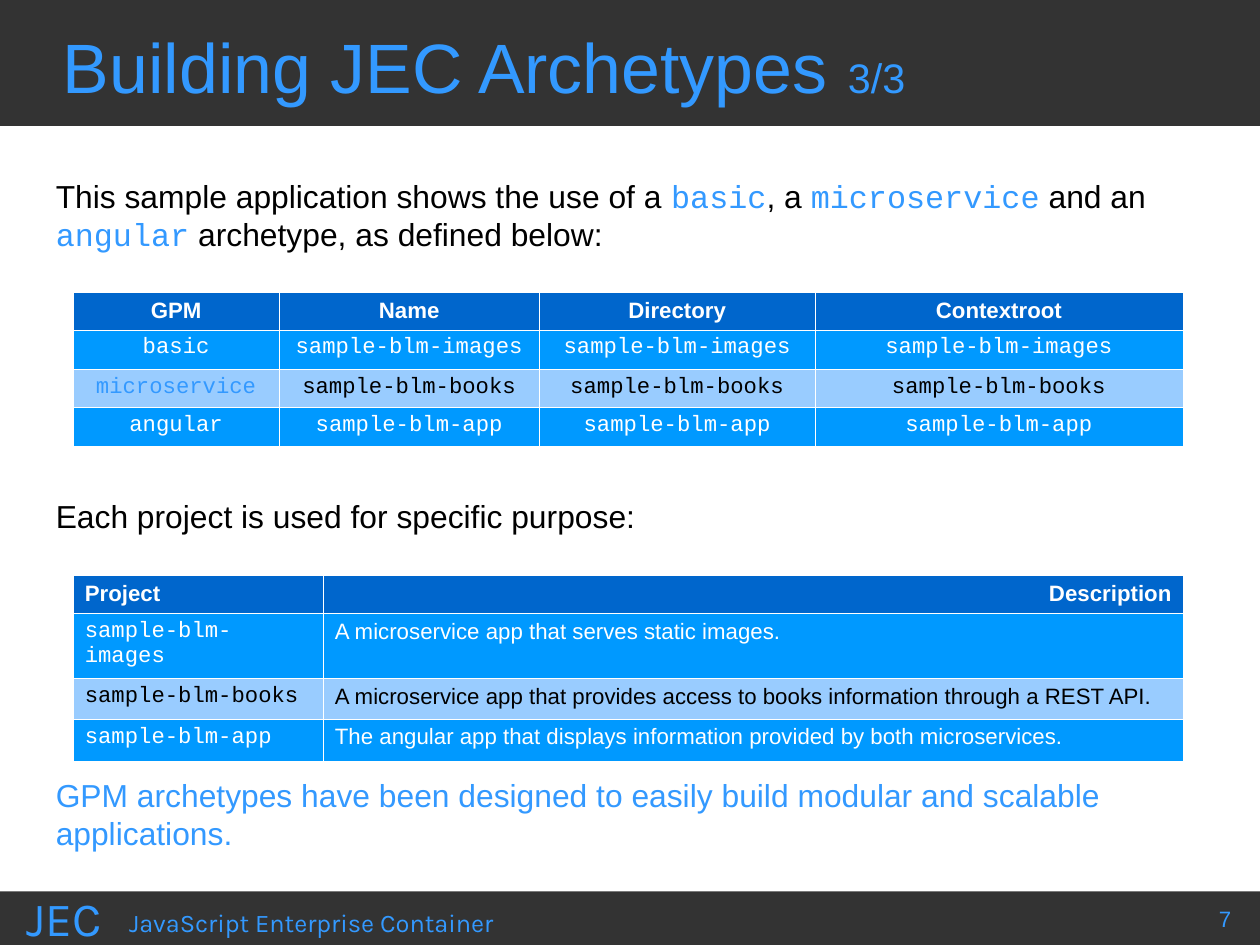
import pptx
import pptx.util
import pptx.dml.color
import pptx.enum.shapes
import pptx.enum.text
import pptx.oxml.ns
from dataclasses import dataclass
from lxml import etree
from pptx.util import Cm

ALIGN = pptx.enum.text.PP_ALIGN
ANCHOR = pptx.enum.text.MSO_ANCHOR


@dataclass(frozen=True)
class Theme:
    bar: str = "333333"
    accent: str = "3399FF"
    text: str = "000000"
    white: str = "FFFFFF"
    header: str = "0066CC"
    row: str = "0099FF"
    band: str = "99CCFF"
    sans: str = "Arial"
    mono: str = "Courier New"
    brand: str = "Karla"
    title_size: int = 44
    counter_size: int = 26
    brand_size: int = 30
    tagline_size: int = 16
    body_size: int = 20
    small_size: int = 14


T = Theme()


def rgb(color):
    return pptx.dml.color.RGBColor.from_string(color)


def add_run(p, text, *, size=T.body_size, font=T.sans, color=T.text, bold=False):
    r = p.add_run()
    r.text = text
    r.font.size = pptx.util.Pt(size)
    r.font.name = font
    r.font.bold = bold
    r.font.color.rgb = rgb(color)


def add_bar(s, top, height):
    sp = s.shapes.add_shape(pptx.enum.shapes.MSO_SHAPE.RECTANGLE,
                            0, Cm(top), Cm(28), Cm(height))
    sp.shadow.inherit = False
    sp.fill.solid()
    sp.fill.fore_color.rgb = rgb(T.bar)
    sp.line.fill.background()


def add_text(s, box, runs, *, align=ALIGN.LEFT, wrap=True, anchor=ANCHOR.TOP, inset=True):
    """Add a text box; runs is a list of (text, format) pairs."""
    tf = s.shapes.add_textbox(*map(Cm, box)).text_frame
    tf.word_wrap = wrap
    tf.vertical_anchor = anchor
    if not inset:
        tf.margin_left = tf.margin_right = tf.margin_top = tf.margin_bottom = 0
    p = tf.paragraphs[0]
    p.alignment = align
    for text, style in runs:
        add_run(p, text, **style)


def set_borders(cell, color, width):
    tcPr = cell._tc.get_or_add_tcPr()
    qn = pptx.oxml.ns.qn
    for i, side in enumerate(("lnL", "lnR", "lnT", "lnB")):
        ln = etree.Element(qn(f"a:{side}"), w=str(width))
        fill = etree.SubElement(ln, qn("a:solidFill"))
        etree.SubElement(fill, qn("a:srgbClr"), val=color)
        tcPr.insert(i, ln)


def add_table(s, top, widths, heights, rows, *, aligns, header_aligns, fonts, accents=()):
    """Add a banded table; words in accents take the accent colour."""
    table = s.shapes.add_table(len(rows), len(widths), Cm(1.63), Cm(top),
                               Cm(sum(widths)), Cm(sum(heights))).table
    for col, width in zip(table.columns, widths):
        col.width = Cm(width)
    for i, (values, height) in enumerate(zip(rows, heights)):
        table.rows[i].height = Cm(height)
        is_header, is_band = i == 0, i == 2
        fill = T.header if is_header else T.band if is_band else T.row
        for j, value in enumerate(values):
            cell = table.cell(i, j)
            cell.fill.solid()
            cell.fill.fore_color.rgb = rgb(fill)
            cell.vertical_anchor = ANCHOR.MIDDLE if is_header else ANCHOR.TOP
            set_borders(cell, T.white, pptx.util.Pt(0.06))
            p = cell.text_frame.paragraphs[0]
            p.alignment = (header_aligns if is_header else aligns)[j]
            color = T.accent if value in accents else T.text if is_band else T.white
            add_run(p, value, size=T.small_size, color=color, bold=is_header,
                    font=T.sans if is_header else fonts[j])


def main():
    prs = pptx.Presentation()
    prs.slide_width, prs.slide_height = Cm(28), Cm(21)
    s = prs.slides.add_slide(prs.slide_layouts[6])
    accent = dict(color=T.accent)
    code = dict(font=T.mono, color=T.accent)

    # Bars and footer
    add_bar(s, 19.81, 1.19)
    add_bar(s, 0, 2.8)
    add_text(s, (0.3, 19.63, 2.21, 1.37),
             [("JEC", dict(size=T.brand_size, font=T.brand, color=T.accent))],
             align=ALIGN.RIGHT, wrap=False)
    add_text(s, (2.51, 20.04, 8.71, 0.96),
             [("JavaScript Enterprise Container",
               dict(size=T.tagline_size, font=T.brand, color=T.accent))],
             align=ALIGN.RIGHT, wrap=False)
    add_text(s, (12.6, 19.99, 15.01, 0.81),
             [("7", dict(size=T.small_size, color=T.accent))], align=ALIGN.RIGHT)

    # Title
    add_text(s, (1.4, 0.41, 23, 2.08),
             [("Building JEC Archetypes ", dict(size=T.title_size, color=T.accent)),
              ("3/3", dict(size=T.counter_size, color=T.accent))],
             anchor=ANCHOR.MIDDLE, inset=False)

    # Archetypes
    add_text(s, (0.99, 3.81, 26, 1.96),
             [("This sample application shows the use of a ", {}), ("basic", code),
              (", a ", {}), ("microservice", code), (" and an ", {}), ("angular", code),
              (" archetype, as defined below:", {})])
    projects = {"basic": "sample-blm-images", "microservice": "sample-blm-books",
                "angular": "sample-blm-app"}
    centred = [ALIGN.CENTER] * 4
    add_table(s, 6.48, [4.57, 5.79, 6.12, 8.18], [0.83, 0.88, 0.84, 0.84],
              [["GPM", "Name", "Directory", "Contextroot"]]
              + [[gpm] + [name] * 3 for gpm, name in projects.items()],
              aligns=centred, header_aligns=centred, fonts=[T.mono] * 4,
              accents=["microservice"])

    # Projects
    add_text(s, (0.99, 10.92, 26, 1.22), [("Each project is used for specific purpose:", {})])
    descriptions = [
        "A microservice app that serves static images.",
        "A microservice app that provides access to books information through a REST API.",
        "The angular app that displays information provided by both microservices.",
    ]
    add_table(s, 12.78, [5.56, 19.1], [0.84, 0.93, 0.91, 0.93],
              [["Project", "Description"], *zip(projects.values(), descriptions)],
              aligns=[ALIGN.LEFT] * 2, header_aligns=[ALIGN.LEFT, ALIGN.RIGHT],
              fonts=[T.mono, T.sans])

    # Conclusion
    add_text(s, (0.99, 17.12, 26, 1.83),
             [("GPM archetypes have been designed to easily build modular and "
               "scalable applications.", accent)])

    prs.save("out.pptx")


if __name__ == "__main__":
    main()
